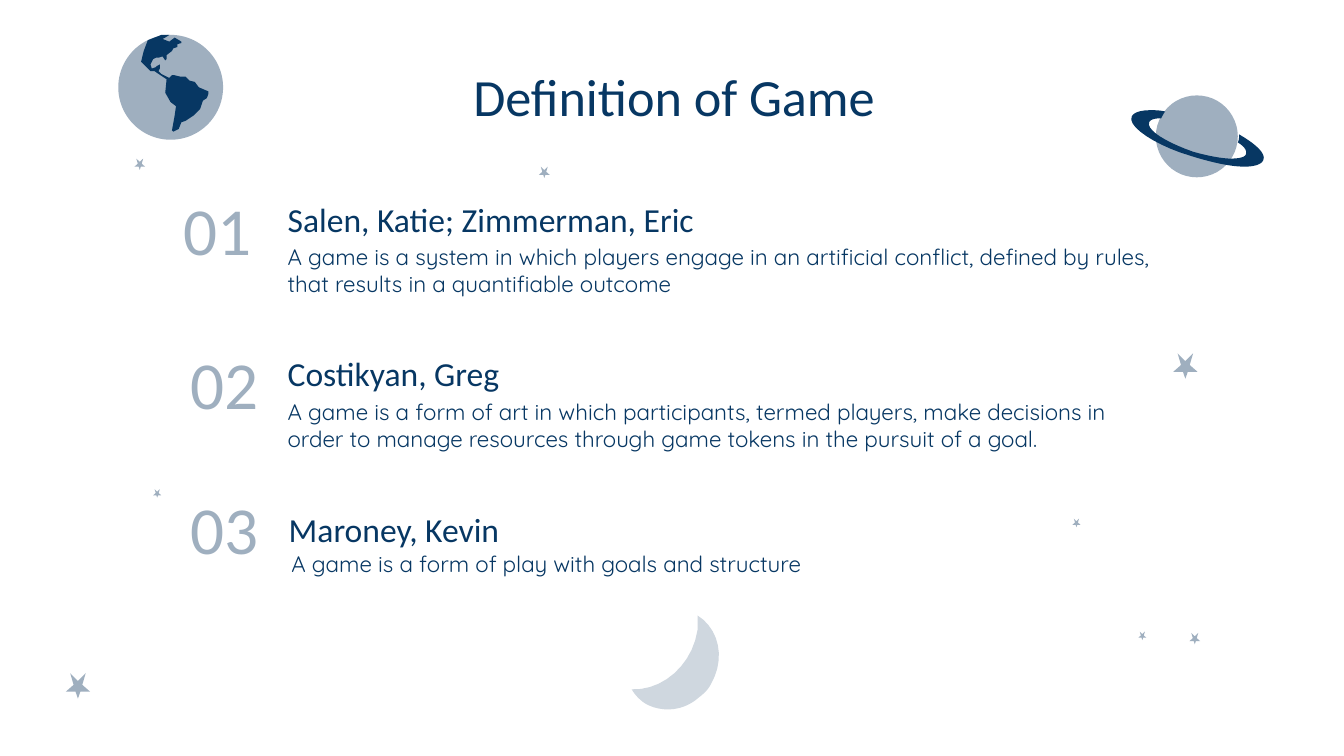
from typing import NamedTuple

from pptx import Presentation
from pptx.dml.color import RGBColor
from pptx.enum.shapes import MSO_SHAPE
from pptx.enum.text import MSO_ANCHOR, MSO_AUTO_SIZE, PP_ALIGN
from pptx.util import Inches, Pt

OVAL = MSO_SHAPE.OVAL
TOP, MID, LOW = MSO_ANCHOR.TOP, MSO_ANCHOR.MIDDLE, MSO_ANCHOR.BOTTOM
LEFT, MIDST, RIGHT = PP_ALIGN.LEFT, PP_ALIGN.CENTER, PP_ALIGN.RIGHT
FIXED = MSO_AUTO_SIZE.NONE

COLORS = {"navy": "073763", "gray": "9FAFBF", "pale": "CFD7DF"}
Point = tuple[float, float]


class Style(NamedTuple):
    font: str
    size: int
    color: str
    align: PP_ALIGN
    anchor: MSO_ANCHOR
    above: float
    below: float


class Box(NamedTuple):
    left: float
    top: float
    width: float
    height: float


class Item(NamedTuple):
    """One numbered definition: its texts and their boxes."""
    num: str
    name: str
    text: str
    num_box: Box
    name_box: Box
    text_box: Box


class Star(NamedTuple):
    left: float
    top: float
    width: float


TITLE = Style("Calibri", 28, "navy", MIDST, MID, 0.1, 0.1)
NUMBER = Style("Calibri", 36, "gray", RIGHT, MID, 0.1, 0.1)
NAME = Style("Calibri", 18, "navy", LEFT, LOW, 0, 0)
BODY = Style("Quicksand", 12, "navy", LEFT, TOP, 0, 0.1)

ITEMS = [
    Item("01", "Salen, Katie; Zimmerman, Eric",
         "A game is a system in which players engage in an artificial conflict, "
         "defined by rules, that results in a quantifiable outcome",
         Box(0.97, 1.37, 1, 0.66), Box(2.04, 1.45, 4.32, 0.33),
         Box(2.04, 1.81, 6.69, 0.55)),
    Item("02", "Costikyan, Greg",
         "A game is a form of art in which participants, termed players, make "
         "decisions in order to manage resources through game tokens in the "
         "pursuit of a goal.",
         Box(1.02, 2.52, 1, 0.66), Box(2.04, 2.6, 2.64, 0.33),
         Box(2.04, 2.96, 6.69, 0.55)),
    Item("03", "Maroney, Kevin",
         "A game is a form of play with goals and structure",
         Box(1.02, 3.6, 1, 0.66), Box(2.05, 3.76, 2.21, 0.33),
         Box(2.07, 4.09, 6.69, 0.51)),
]

STARS = [
    Star(8.73, 2.63, 0.18), Star(8.85, 4.71, 0.08), Star(7.98, 3.86, 0.06),
    Star(8.47, 4.7, 0.06), Star(1.14, 3.64, 0.06), Star(4.01, 1.24, 0.08),
    Star(0.49, 5.01, 0.18), Star(1, 1.18, 0.08),
]
# Star outline for a width of 1
STAR = [(0.5, 1.05), (0.4, 0.76), (0, 0.76), (0.32, 0.48), (0.18, 0),
        (0.5, 0.32), (0.82, 0), (0.68, 0.48), (1, 0.76), (0.6, 0.76)]

# Bezier outlines: a start, then two controls and an end for each curve
RING = [
    (8.56, 0.82), (8.59, 0.82), (8.63, 0.82), (8.67, 0.83),
    (8.66, 0.84), (8.65, 0.86), (8.64, 0.88),
    (8.59, 0.88), (8.56, 0.89), (8.55, 0.91),
    (8.53, 0.97), (8.68, 1.06), (8.88, 1.13),
    (8.99, 1.16), (9.09, 1.18), (9.16, 1.18),
    (9.22, 1.18), (9.26, 1.17), (9.27, 1.15),
    (9.28, 1.12), (9.26, 1.09), (9.21, 1.06),
    (9.22, 1.04), (9.22, 1.02), (9.22, 1),
    (9.34, 1.07), (9.42, 1.14), (9.4, 1.19),
    (9.39, 1.22), (9.34, 1.24), (9.26, 1.24),
    (9.16, 1.24), (9.02, 1.21), (8.86, 1.16),
    (8.59, 1.08), (8.39, 0.94), (8.42, 0.87),
    (8.43, 0.84), (8.48, 0.82), (8.56, 0.82),
]
MOON = [
    (5.19, 4.58), (5.19, 4.62), (5.19, 4.66), (5.19, 4.69),
    (5.15, 4.95), (4.93, 5.14), (4.7, 5.13),
    (4.73, 5.18), (4.78, 5.23), (4.83, 5.25),
    (4.94, 5.3), (5.09, 5.29), (5.2, 5.19),
    (5.24, 5.16), (5.27, 5.13), (5.29, 5.09),
    (5.4, 4.9), (5.35, 4.68), (5.19, 4.58),
]
LAND = [
    (1.26, 0.26), (1.2, 0.26), (1.1, 0.3), (1.07, 0.38), (1.05, 0.46),
    (1.12, 0.53), (1.15, 0.53), (1.24, 0.59), (1.23, 0.69), (1.27, 0.76),
    (1.31, 0.79), (1.3, 0.86), (1.28, 0.97), (1.29, 0.98), (1.33, 0.96),
    (1.35, 0.91), (1.38, 0.9), (1.44, 0.86), (1.49, 0.81), (1.51, 0.75),
    (1.54, 0.73), (1.55, 0.7), (1.55, 0.68), (1.48, 0.65), (1.45, 0.61),
    (1.41, 0.6), (1.38, 0.57), (1.34, 0.57), (1.3, 0.56), (1.28, 0.56),
    (1.26, 0.58), (1.2, 0.55), (1.18, 0.53), (1.19, 0.51), (1.19, 0.48),
    (1.17, 0.49), (1.16, 0.5), (1.13, 0.51), (1.12, 0.48), (1.14, 0.44),
    (1.16, 0.43), (1.18, 0.43), (1.21, 0.42), (1.23, 0.45), (1.24, 0.44),
    (1.24, 0.41), (1.28, 0.38), (1.29, 0.36), (1.32, 0.35), (1.32, 0.33),
    (1.35, 0.32), (1.35, 0.31), (1.3, 0.28), (1.26, 0.31), (1.21, 0.29),
    (1.23, 0.28),
]


def rgb(color: str) -> RGBColor:
    return RGBColor.from_string(COLORS[color])


def paint(shape, color: str) -> None:
    shape.shadow.inherit = False
    shape.fill.solid()
    shape.fill.fore_color.rgb = rgb(color)
    shape.line.fill.background()


def trace(slide, points: list[Point], color: str) -> None:
    """Draw a closed outline."""
    first, *rest = [(Inches(x), Inches(y)) for x, y in points]
    path = slide.shapes.build_freeform(*first, scale=1.0)
    path.add_line_segments(rest, close=True)
    paint(path.convert_to_shape(), color)


def bend(knots: list[Point], steps: int = 10) -> list[Point]:
    """Turn a chain of Bezier curves into points."""
    points = []
    for i in range(0, len(knots) - 1, 3):
        for t in (n / steps for n in range(steps)):
            u = 1 - t
            parts = (u ** 3, 3 * u * u * t, 3 * u * t * t, t ** 3)
            points.append(tuple(sum(w * k[axis] for w, k in zip(parts, knots[i:i + 4]))
                                for axis in (0, 1)))
    return points


def disc(slide, left: float, top: float, size: float) -> None:
    paint(slide.shapes.add_shape(OVAL, *map(Inches, (left, top, size, size))), "gray")


def write(slide, text: str, box: Box, style: Style, holder=None) -> None:
    """Fill the placeholder, or a new text box if there is none."""
    shape = holder or slide.shapes.add_textbox(*map(Inches, box))
    for key, size in box._asdict().items():
        setattr(shape, key, Inches(size))
    frame = shape.text_frame
    frame.text = text
    para = frame.paragraphs[0]
    formats = [
        (frame, {"word_wrap": True, "auto_size": FIXED,
                 "vertical_anchor": style.anchor,
                 "margin_left": Inches(0.1), "margin_right": Inches(0.1),
                 "margin_top": Inches(style.above),
                 "margin_bottom": Inches(style.below)}),
        (para, {"alignment": style.align, "space_before": Pt(0)}),
        (para.runs[0].font, {"name": style.font, "size": Pt(style.size), "bold": False}),
    ]
    for part, values in formats:
        for key, value in values.items():
            setattr(part, key, value)
    para.runs[0].font.color.rgb = rgb(style.color)
    if holder:
        props = para._p.get_or_add_pPr()
        props.set("marL", "0")
        props.set("indent", "0")
        props.append(props.makeelement(
            "{http://schemas.openxmlformats.org/drawingml/2006/main}buNone", {}))


def main() -> None:
    deck = Presentation()
    deck.slide_width = Inches(10)
    deck.slide_height = deck.slide_width * 9 // 16
    slide = deck.slides.add_slide(deck.slide_layouts.get_by_name("Comparison"))
    title, *slots = list(slide.placeholders)[:5]

    for star in STARS:
        trace(slide, [(star.left + x * star.width, star.top + y * star.width)
                      for x, y in STAR], "gray")
    disc(slide, 8.6, 0.71, 0.61)
    trace(slide, bend(RING), "navy")
    disc(slide, 0.88, 0.26, 0.78)
    trace(slide, LAND, "navy")
    trace(slide, bend(MOON), "pale")

    write(slide, "Definition of Game", Box(0.78, 0.41, 8.47, 0.61), TITLE, title)
    pairs = [slots[:2], slots[2:], (None, None)]
    for item, (head, body) in zip(ITEMS, pairs):
        write(slide, item.num, item.num_box, NUMBER)
        write(slide, item.name, item.name_box, NAME, head)
        write(slide, item.text, item.text_box, BODY, body)

    deck.save("out.pptx")


if __name__ == "__main__":
    main()
